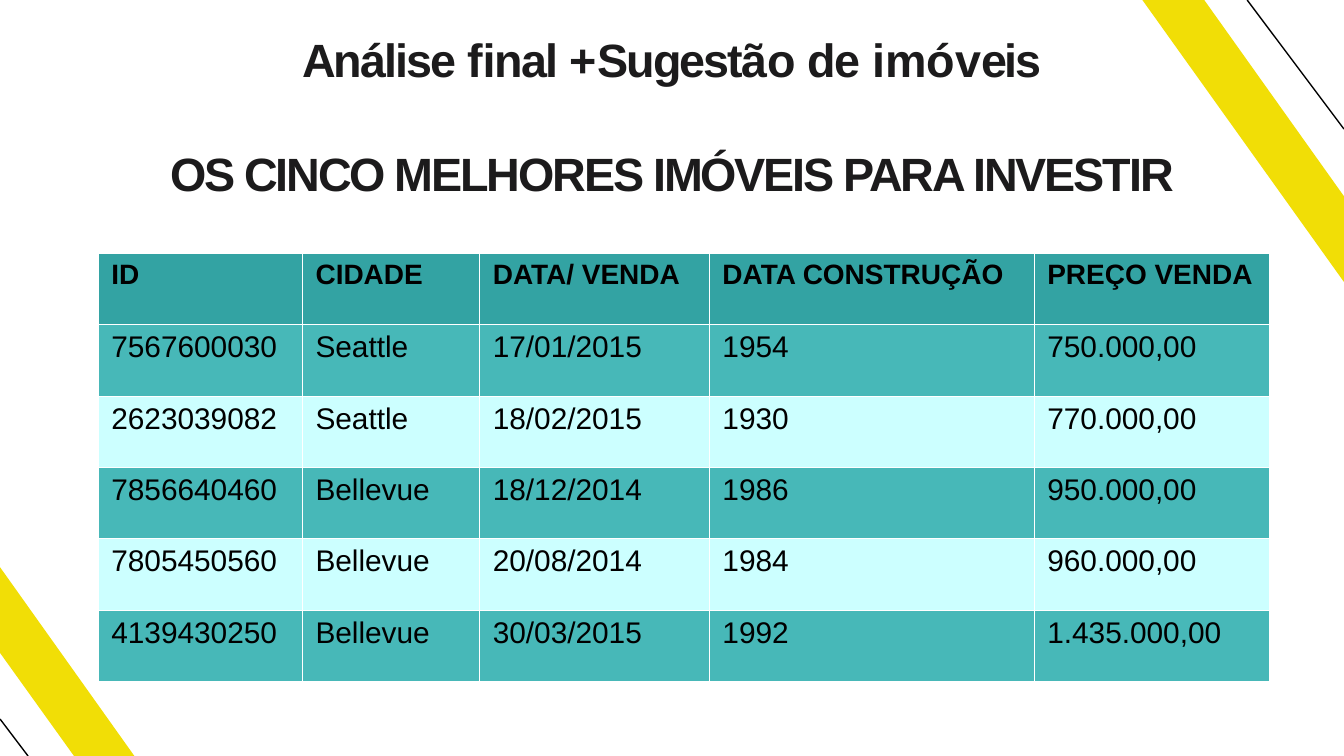
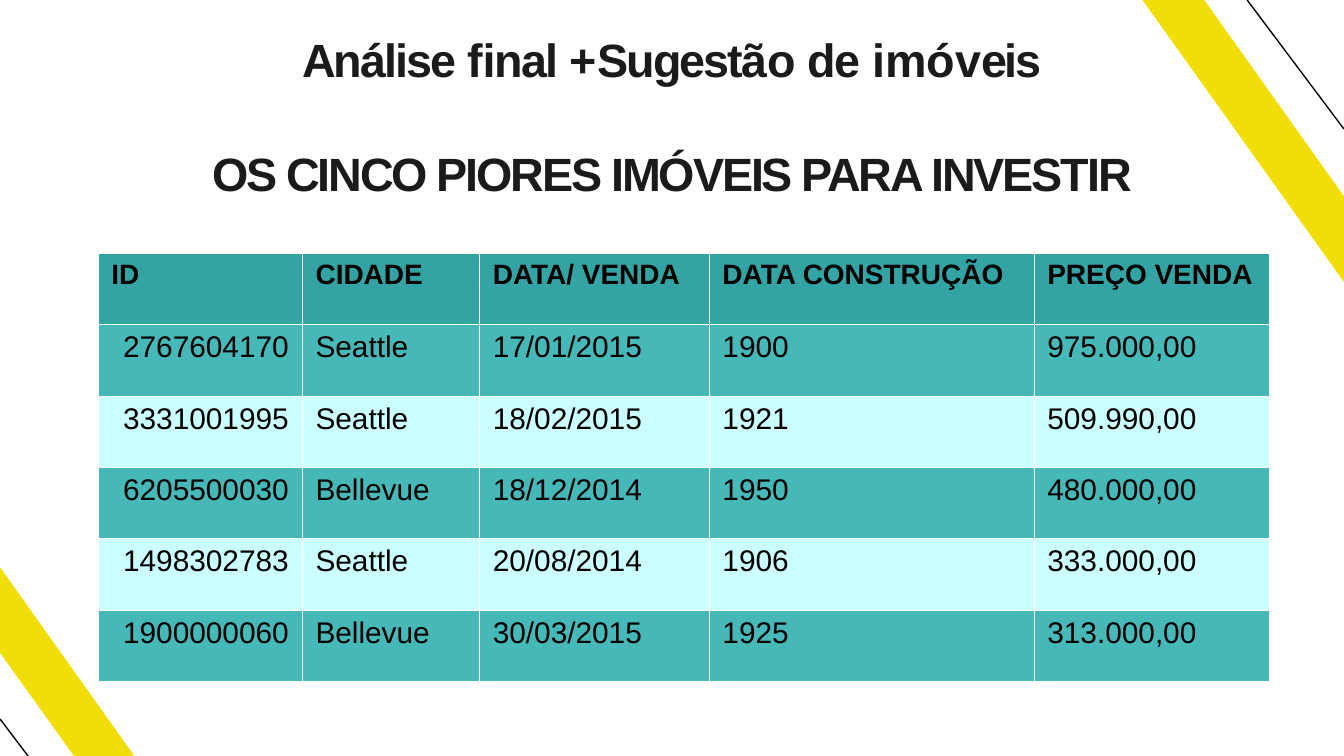
from lxml.etree import SubElement
from pptx import Presentation
from pptx.dml.color import RGBColor
from pptx.enum.shapes import MSO_CONNECTOR
from pptx.enum.text import MSO_ANCHOR, PP_ALIGN
from pptx.oxml.ns import qn
from pptx.util import Cm, Pt

WHITE = RGBColor(0xFF, 0xFF, 0xFF)
BLACK = RGBColor(0x00, 0x00, 0x00)
INK = RGBColor(0x1C, 0x1B, 0x1C)
YELLOW = RGBColor(0xF1, 0xDE, 0x06)
HEAD = RGBColor(0x33, 0xA3, 0xA3)
TEAL = RGBColor(0x47, 0xB8, 0xB8)
PALE = RGBColor(0xCC, 0xFF, 0xFF)
FONT = "Arial"

# Boxes are left, top, width, height in cm
TOP = (21.59, 0, 3.81, 5.33)
BOTTOM = (0, 10.72, 2.54, 3.57)
TITLE = (1.27, 0.56, 22.86, 2.39)
TABLE = (1.85, 4.78, 22.13, 8.1)

COLS = (3.86, 3.35, 4.34, 6.14, 4.44)
HEADS = ("ID", "CIDADE", "DATA/ VENDA", "DATA CONSTRUÇÃO", "PREÇO VENDA")
# Title runs with their letter spacing in points
LEAD = (("Análise ", -1), ("ﬁnal ", -0.9), ("+ ", -6.8), ("Sugestã", -1),
        ("o ", -0.8), ("de ", -0.6), ("i", -0.3), ("m", -0.9),
        ("ó", -1.2), ("v", -1.7), ("eis", -1.1))

BEST = (
    ("7567600030", "Seattle", "17/01/2015", "1954", "750.000,00"),
    ("2623039082", "Seattle", "18/02/2015", "1930", "770.000,00"),
    ("7856640460", "Bellevue", "18/12/2014", "1986", "950.000,00"),
    ("7805450560", "Bellevue", "20/08/2014", "1984", "960.000,00"),
    ("4139430250", "Bellevue", "30/03/2015", "1992", "1.435.000,00"),
)
WORST = (
    ("2767604170", "Seattle", "17/01/2015", "1900", "975.000,00"),
    ("3331001995", "Seattle", "18/02/2015", "1921", "509.990,00"),
    ("6205500030", "Bellevue", "18/12/2014", "1950", "480.000,00"),
    ("1498302783", "Seattle", "20/08/2014", "1906", "333.000,00"),
    ("1900000060", "Bellevue", "30/03/2015", "1925", "313.000,00"),
)


def add_run(para, text, size, color, bold):
    run = para.add_run()
    run.text = text
    font = run.font
    font.name, font.size, font.bold = FONT, Pt(size), bold
    font.color.rgb = color
    return run


def add_corner(slide, box, band, line):
    """Draw a yellow band and a thin line, both given relative to the box."""
    left, top = box[:2]

    def place(points):
        return [(Cm(left + x), Cm(top + y)) for x, y in points]

    first, *rest = place(band)
    path = slide.shapes.build_freeform(*first)
    path.add_line_segments(rest, close=True)
    shape = path.convert_to_shape()
    shape.shadow.inherit = False
    shape.fill.solid()
    shape.fill.fore_color.rgb = YELLOW
    shape.line.fill.background()

    start, end = place(line)
    thin = slide.shapes.add_connector(MSO_CONNECTOR.STRAIGHT, *start, *end)
    thin.line.color.rgb = BLACK
    thin.line.width = Pt(0.75)
    SubElement(thin._element.spPr, qn("a:effectLst"))


def add_title(slide, box, lower):
    frame = slide.shapes.add_textbox(*map(Cm, box)).text_frame
    frame.word_wrap = True
    frame.vertical_anchor = MSO_ANCHOR.TOP
    frame.margin_left = frame.margin_right = frame.margin_bottom = 0
    frame.margin_top = Cm(0.03)
    paras = frame.paragraphs[0], frame.add_paragraph()
    lines = LEAD, ((lower, -1.1),)
    for para, runs, gap in zip(paras, lines, (1, 31)):
        para.alignment = PP_ALIGN.CENTER
        para.space_before = Pt(gap)
        for text, space in runs:
            run = add_run(para, text, 25, INK, True)
            run._r.get_or_add_rPr().set("spc", str(round(space * 100)))


def edge_cell(cell):
    """Give the cell hairline white borders."""
    props = cell._tc.get_or_add_tcPr()
    for side in ("lnL", "lnR", "lnT", "lnB"):
        edge = SubElement(props, qn(f"a:{side}"), w=str(Pt(0.06)))
        fill = SubElement(edge, qn("a:solidFill"))
        SubElement(fill, qn("a:srgbClr"), val=str(WHITE))


def add_table(slide, box, homes, align):
    """Fill the box with a table; align sets the ID column below its head."""
    rows = (HEADS, *homes)
    grid = slide.shapes.add_table(len(rows), len(COLS), *map(Cm, box)).table
    grid.first_row = grid.horz_banding = False
    for col, width in zip(grid.columns, COLS):
        col.width = Cm(width)
    for i, row in enumerate(rows):
        grid.rows[i].height = Cm(box[3] / len(rows))
        head = i == 0
        color = HEAD if head else TEAL if i % 2 else PALE
        for j, text in enumerate(row):
            cell = grid.cell(i, j)
            edge_cell(cell)
            cell.fill.solid()
            cell.fill.fore_color.rgb = color
            para = cell.text_frame.paragraphs[0]
            para.alignment = align if j == 0 and not head else PP_ALIGN.LEFT
            add_run(para, text, 15 if head else 16, BLACK, head)


def add_page(deck, lower, homes, align):
    slide = deck.slides.add_slide(deck.slide_layouts[6])
    slide.background.fill.solid()
    slide.background.fill.fore_color.rgb = WHITE
    add_corner(slide, TOP,
               ((3.81, 5.33), (0, 0), (1.17, 0), (3.81, 3.71)),
               ((1.98, 0), (3.81, 2.44)))
    add_corner(slide, BOTTOM,
               ((2.54, 3.57), (1.4, 3.57), (0, 1.62), (0, 0)),
               ((0.53, 3.57), (0, 2.87)))
    add_title(slide, TITLE, lower)
    add_table(slide, TABLE, homes, align)


def main():
    deck = Presentation()
    deck.slide_width, deck.slide_height = Cm(25.4), Cm(14.29)
    add_page(deck, "OS CINCO MELHORES IMÓVEIS PARA INVESTIR", BEST,
             PP_ALIGN.LEFT)
    add_page(deck, "OS CINCO PIORES IMÓVEIS PARA INVESTIR", WORST,
             PP_ALIGN.RIGHT)
    deck.save("out.pptx")


if __name__ == "__main__":
    main()
